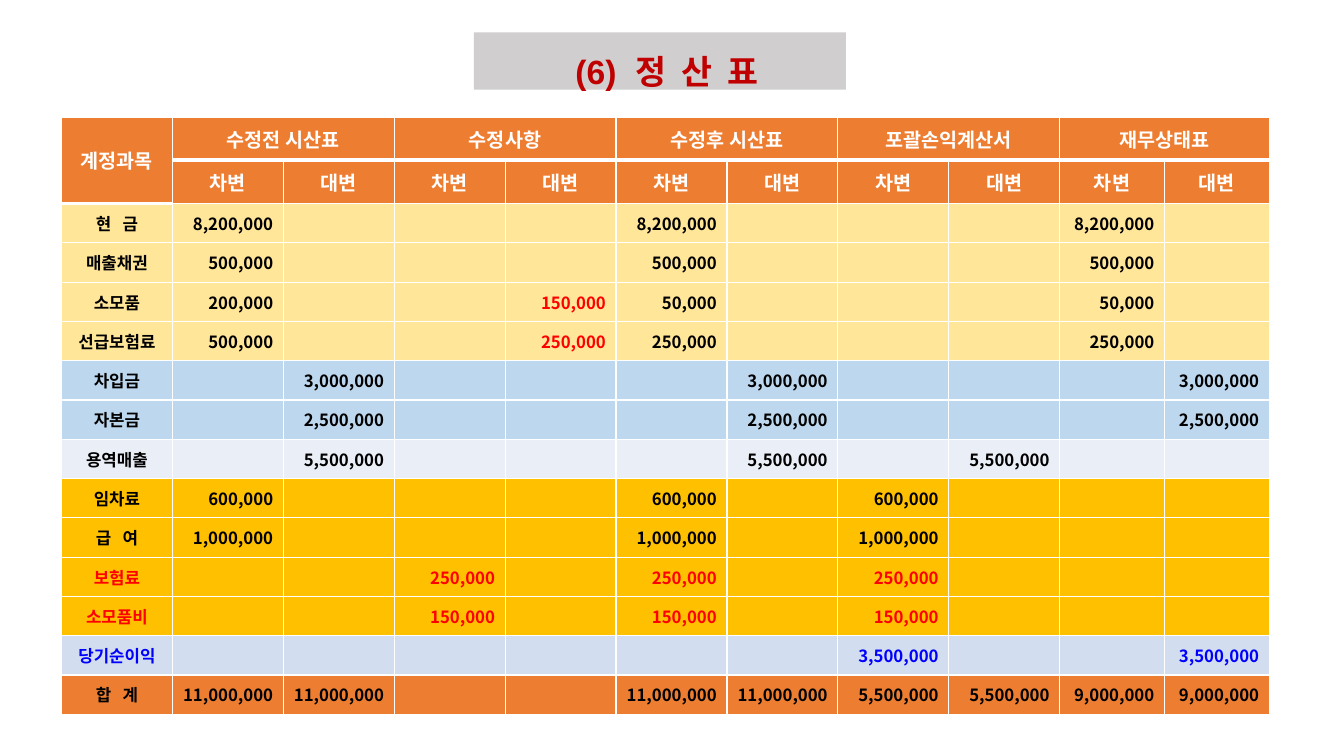
"""Build a slide with an accounting worksheet table."""
from lxml import etree
from pptx import Presentation
from pptx import util as u
from pptx.dml.color import RGBColor
from pptx.enum import text
from pptx.oxml import ns

COLOURS = {
    "white": "FFFFFF", "black": "000000", "red": "FF0000", "blue": "0000FF",
    "title": "C00000", "banner": "D0CECE", "header": "ED7D31", "asset": "FFE699",
    "funding": "BDD7EE", "revenue": "EAEFF7", "expense": "FFC000", "profit": "D2DEEF",
}
KOREAN_FONT = "Noto Sans CJK KR"
SECTIONS = ["수정전 시산표", "수정사항", "수정후 시산표", "포괄손익계산서", "재무상태표"]
ADJUSTMENT_COLUMNS = (3, 4)
COLUMN_WIDTHS = [1.1] * 9 + [1.04] * 2
ROW_HEIGHTS = [0.43] * 2 + [0.39] * 13
ACCOUNTS = [
    ("현   금", "asset", "black", {1: "8,200,000", 5: "8,200,000", 9: "8,200,000"}),
    ("매출채권", "asset", "black", {1: "500,000", 5: "500,000", 9: "500,000"}),
    ("소모품", "asset", "black", {1: "200,000", 4: "150,000", 5: "50,000", 9: "50,000"}),
    ("선급보험료", "asset", "black", {1: "500,000", 4: "250,000", 5: "250,000", 9: "250,000"}),
    ("차입금", "funding", "black", {2: "3,000,000", 6: "3,000,000", 10: "3,000,000"}),
    ("자본금", "funding", "black", {2: "2,500,000", 6: "2,500,000", 10: "2,500,000"}),
    ("용역매출", "revenue", "black", {2: "5,500,000", 6: "5,500,000", 8: "5,500,000"}),
    ("임차료", "expense", "black", {1: "600,000", 5: "600,000", 7: "600,000"}),
    ("급   여", "expense", "black", {1: "1,000,000", 5: "1,000,000", 7: "1,000,000"}),
    ("보험료", "expense", "red", {3: "250,000", 5: "250,000", 7: "250,000"}),
    ("소모품비", "expense", "red", {3: "150,000", 5: "150,000", 7: "150,000"}),
    ("당기순이익", "profit", "blue", {7: "3,500,000", 10: "3,500,000"}),
    ("합   계", "header", "black", {
        1: "11,000,000", 2: "11,000,000", 5: "11,000,000", 6: "11,000,000",
        7: "5,500,000", 8: "5,500,000", 9: "9,000,000", 10: "9,000,000"}),
]


def colour(name):
    """Return the named colour."""
    return RGBColor.from_string(COLOURS[name])


def write_text(frame, words, size=12, ink="black", font=KOREAN_FONT, align="CENTER"):
    """Write one bold formatted paragraph and return it."""
    paragraph = frame.paragraphs[0]
    paragraph.alignment = text.PP_ALIGN[align]
    run = paragraph.add_run()
    run.text = words
    run.font.size = u.Pt(size)
    run.font.bold = True
    run.font.name = font
    run.font.color.rgb = colour(ink)
    east_asian = etree.SubElement(run.font._element, ns.qn("a:ea"))
    east_asian.set("typeface", KOREAN_FONT)
    return paragraph


def add_border(cell, side, points):
    """Draw a white border on one side of a cell."""
    properties = cell._tc.get_or_add_tcPr()
    line = etree.SubElement(properties, ns.qn(f"a:ln{side}"), w=str(u.Pt(points)))
    fill = etree.SubElement(line, ns.qn("a:solidFill"))
    etree.SubElement(fill, ns.qn("a:srgbClr"), val=COLOURS["white"])


def format_cell(cell, row, column, fill):
    """Set the margins, borders and fill of a cell."""
    cell.vertical_anchor = text.MSO_ANCHOR.MIDDLE
    cell.margin_top = cell.margin_bottom = u.Inches(0.03)
    add_border(cell, "L", 1)
    add_border(cell, "R", 1)
    if row == 0:
        add_border(cell, "T", 1)
    add_border(cell, "B", 3 if row == 0 or (row, column) == (1, 0) else 1)
    cell.fill.solid()
    cell.fill.fore_color.rgb = colour(fill)


def add_title(slide):
    """Place the title on its grey banner."""
    title = slide.shapes.title
    title.left, title.top = u.Inches(4.7), u.Inches(0.32)
    title.width, title.height = u.Inches(3.69), u.Inches(0.57)
    title.fill.solid()
    title.fill.fore_color.rgb = colour("banner")
    frame = title.text_frame
    frame.word_wrap = True
    frame.auto_size = text.MSO_AUTO_SIZE.NONE
    frame.vertical_anchor = text.MSO_ANCHOR.MIDDLE
    paragraph = write_text(frame, "(6)  정  산  표", size=24, ink="title", font="Arial")
    paragraph.line_spacing = 1.5
    properties = paragraph._p.get_or_add_pPr()
    properties.set("marL", "0")
    properties.set("indent", str(u.Inches(0.14)))


def add_header(table):
    """Write the two header rows and merge their cells."""
    def write_heading(row, column, words):
        write_text(table.cell(row, column).text_frame, words, size=14, ink="white")

    table.cell(0, 0).merge(table.cell(1, 0))
    write_heading(0, 0, "계정과목")
    for index, section in enumerate(SECTIONS):
        debit = 1 + 2 * index
        table.cell(0, debit).merge(table.cell(0, debit + 1))
        write_heading(0, debit, section)
        write_heading(1, debit, "차변")
        write_heading(1, debit + 1, "대변")


def add_worksheet(slide):
    """Add the worksheet table with its header and account rows."""
    frame = slide.shapes.add_table(
        len(ROW_HEIGHTS), len(COLUMN_WIDTHS), u.Inches(0.61), u.Inches(1.16),
        u.Inches(sum(COLUMN_WIDTHS)), u.Inches(sum(ROW_HEIGHTS)))
    table = frame.table
    table.first_row = table.horz_banding = False
    for column, width in zip(table.columns, COLUMN_WIDTHS):
        column.width = u.Inches(width)
    fills = ["header"] * 2 + [account[1] for account in ACCOUNTS]
    for row, (height, fill) in enumerate(zip(ROW_HEIGHTS, fills)):
        table.rows[row].height = u.Inches(height)
        for column in range(len(COLUMN_WIDTHS)):
            format_cell(table.cell(row, column), row, column, fill)
    add_header(table)
    for row, (label, _, ink, amounts) in enumerate(ACCOUNTS, start=2):
        write_text(table.cell(row, 0).text_frame, label, ink=ink)
        for column, amount in amounts.items():
            amount_ink = "red" if column in ADJUSTMENT_COLUMNS else ink
            write_text(table.cell(row, column).text_frame, amount,
                       ink=amount_ink, align="RIGHT")


def main():
    """Create and save the presentation."""
    presentation = Presentation()
    presentation.slide_width = u.Inches(13.33)
    presentation.slide_height = u.Inches(7.5)
    slide = presentation.slides.add_slide(presentation.slide_layouts[5])
    add_title(slide)
    add_worksheet(slide)
    presentation.save("out.pptx")


if __name__ == "__main__":
    main()
